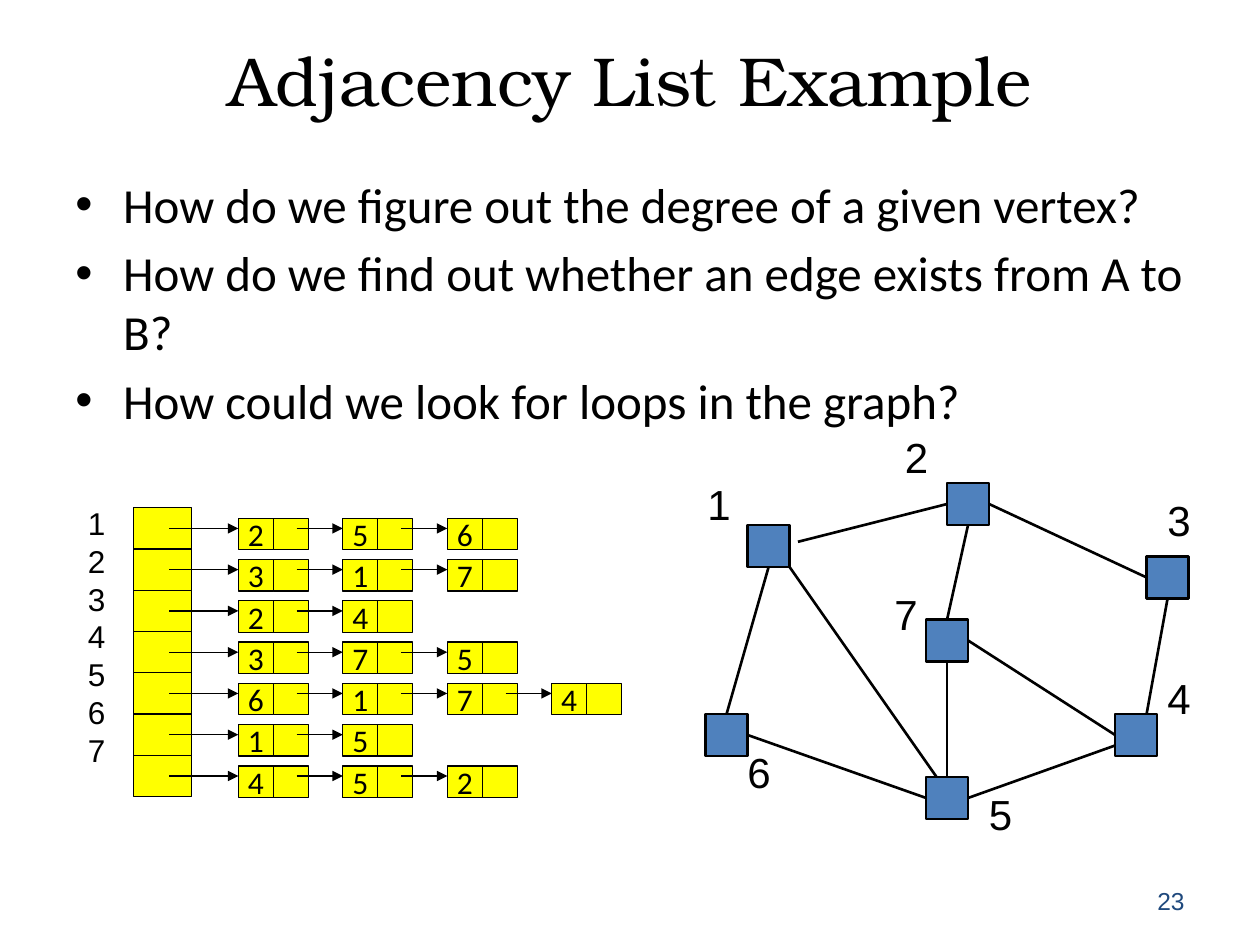
from lxml import etree
from pptx import Presentation
from pptx.dml.color import RGBColor
from pptx.enum.shapes import MSO_CONNECTOR, MSO_SHAPE
from pptx.enum.text import MSO_ANCHOR, PP_ALIGN
from pptx.oxml.ns import qn
from pptx.util import Inches, Pt

RECTANGLE = MSO_SHAPE.RECTANGLE
STRAIGHT = MSO_CONNECTOR.STRAIGHT
LEFT, CENTER, RIGHT = PP_ALIGN.LEFT, PP_ALIGN.CENTER, PP_ALIGN.RIGHT
TOP, MIDDLE = MSO_ANCHOR.TOP, MSO_ANCHOR.MIDDLE

GRID_COLUMNS = 120
# Connection site at the middle of each side, by share of width and height
SITES = {(0.5, 0): 0, (0, 0.5): 1, (0.5, 1): 2, (1, 0.5): 3}

QUESTIONS = [
    "How do we figure out the degree of a given vertex?",
    "How do we find out whether an edge exists from A to B?",
    "How could we look for loops in the graph?",
]

NODE_SIZE = 4
# vertex: (node column, node row, label column, label row)
VERTICES = {
    1: (71.2, 50, 66.2, 45),
    2: (90.2, 46, 85, 40.5),
    3: (109.2, 53, 110, 46.5),
    4: (106.2, 68, 110, 63.5),
    5: (88.2, 74, 93, 74.5),
    6: (67.2, 68, 70, 70.5),
    7: (88.2, 59, 84, 55.5),
}
# (vertex, share of its width and height) at either end
EDGES = [
    ((1, (1.2, 0.4)), (2, (0, 0.5))),
    ((2, (0.5, 1)), (7, (0.5, 0))),
    ((2, (1, 0.5)), (3, (0, 0.5))),
    ((7, (1, 0.5)), (4, (0, 0.5))),
    ((3, (0.5, 1)), (4, (0.75, 0))),
    ((7, (0.5, 1)), (5, (0.5, 0))),
    ((5, (1, 0.5)), (4, (0, 0.75))),
    ((6, (1, 0.5)), (5, (0, 0.5))),
    ((1, (0.5, 1)), (6, (0.5, 0))),
    ((1, (1, 1)), (5, (0.25, 0))),
]

NEIGHBOURS = {
    1: [2, 5, 6],
    2: [3, 1, 7],
    3: [2, 4],
    4: [3, 7, 5],
    5: [6, 1, 7, 4],
    6: [1, 5],
    7: [4, 5, 2],
}
ARRAY_LEFT, ARRAY_TOP, ARRAY_WIDTH, ROW_PITCH = 12.75, 48.36, 5.5, 3.93
LINK_LEFT, LINK_PITCH = 22.7, 9.95
CELL_WIDTH, CELL_HEIGHT = 3.33, 3
HEAD_ARROW, LINK_ARROW = 6.6, 4.4


def color(hex_string):
    return RGBColor.from_string(hex_string)


class SlideBuilder:
    """Draws on one slide; lengths are in cells of a square grid."""

    black, number_blue = "000000", "1F497D"
    node_fill, list_fill = "4F81BD", "FFFF00"
    title_font, body_font, label_font = "TeX Gyre Bonum", "Calibri", "Arial"
    thick, thin = 1.5, 0.75

    def __init__(self, presentation):
        self.slide = presentation.slides.add_slide(presentation.slide_layouts[6])
        self.cell = presentation.slide_width / GRID_COLUMNS

    def lengths(self, *cells):
        return [round(count * self.cell) for count in cells]

    def set_text(self, shape, lines, font, size, align=LEFT, anchor=TOP,
                 wrap=False, ink=black):
        frame = shape.text_frame
        frame.text = "\n".join(lines)
        frame.word_wrap = wrap
        frame.vertical_anchor = anchor
        for paragraph in frame.paragraphs:
            paragraph.alignment = align
            for run in paragraph.runs:
                run.font.name = font
                run.font.size = Pt(size)
                run.font.color.rgb = color(ink)

    def text(self, box, lines, font, size, **options):
        shape = self.slide.shapes.add_textbox(*self.lengths(*box))
        self.set_text(shape, lines, font, size, **options)
        return shape

    def bullets(self, box, lines, size):
        shape = self.text(box, lines, self.body_font, size, wrap=True)
        for paragraph in shape.text_frame.paragraphs:
            paragraph.space_before = Pt(size * 0.2)
            properties = paragraph._p.get_or_add_pPr()
            properties.set("marL", str(Inches(0.38)))
            properties.set("indent", str(-Inches(0.38)))
            etree.SubElement(properties, qn("a:buFont")).set("typeface", "Arial")
            etree.SubElement(properties, qn("a:buChar")).set("char", "•")

    def rectangle(self, box, fill, weight, label=""):
        shape = self.slide.shapes.add_shape(RECTANGLE, *self.lengths(*box))
        shape.shadow.inherit = False
        shape.fill.solid()
        shape.fill.fore_color.rgb = color(fill)
        shape.line.color.rgb = color(self.black)
        shape.line.width = Pt(weight)
        if label:
            self.set_text(shape, [label], self.body_font, 18, CENTER, MIDDLE)
        return shape

    def line(self, start, end, weight, arrow=False):
        connector = self.slide.shapes.add_connector(
            STRAIGHT, *self.lengths(*start, *end))
        connector.line.color.rgb = color(self.black)
        connector.line.width = Pt(weight)
        if arrow:
            outline = connector.line._get_or_add_ln()
            etree.SubElement(outline, qn("a:tailEnd")).set("type", "triangle")
        etree.SubElement(connector._element.spPr, qn("a:effectLst"))
        return connector

    def graph(self):
        nodes = {}
        for vertex, (left, top, label_left, label_top) in VERTICES.items():
            nodes[vertex] = self.rectangle(
                (left, top, NODE_SIZE, NODE_SIZE), self.node_fill, self.thick)
            self.text((label_left, label_top, 4.7, 6), [str(vertex)],
                      self.label_font, 24)
        for edge in EDGES:
            points = [(VERTICES[vertex][0] + across * NODE_SIZE,
                       VERTICES[vertex][1] + down * NODE_SIZE)
                      for vertex, (across, down) in edge]
            connector = self.line(*points, self.thick)
            joins = (connector.begin_connect, connector.end_connect)
            for join, (vertex, share) in zip(joins, edge):
                if share in SITES:
                    join(nodes[vertex], SITES[share])

    def adjacency_list(self):
        self.text((7.2, 47.4, 4.3, 29.2), [str(vertex) for vertex in NEIGHBOURS],
                  self.label_font, 18)
        tops = [ARRAY_TOP + row * ROW_PITCH for row in range(len(NEIGHBOURS))]
        for top in tops:
            self.rectangle((ARRAY_LEFT, top, ARRAY_WIDTH, ROW_PITCH),
                           self.list_fill, self.thin)
        for top, neighbours in zip(tops, NEIGHBOURS.values()):
            self.linked_row(top, neighbours)

    def linked_row(self, top, neighbours):
        middle = top + ROW_PITCH / 2
        lefts = [LINK_LEFT + link * LINK_PITCH for link in range(len(neighbours))]
        for left, neighbour in zip(lefts, neighbours):
            for offset, label in ((0, str(neighbour)), (CELL_WIDTH, "")):
                self.rectangle((left + offset, top + 1, CELL_WIDTH, CELL_HEIGHT),
                               self.list_fill, self.thin, label)
        for left in lefts:
            length = HEAD_ARROW if left == LINK_LEFT else LINK_ARROW
            self.line((left - length, middle), (left, middle), self.thin, arrow=True)


def main():
    presentation = Presentation()
    presentation.slide_width, presentation.slide_height = Inches(10), Inches(7.5)
    builder = SlideBuilder(presentation)
    title = builder.text((6, 3.6, 108, 15), ["Adjacency List Example"],
                         builder.title_font, 39.6, align=CENTER, anchor=MIDDLE,
                         wrap=True)
    title.text_frame.margin_bottom = Inches(0.65)
    builder.text((86, 83.4, 28, 4.8), ["23"], builder.label_font, 14, align=RIGHT,
                 anchor=MIDDLE, wrap=True, ink=builder.number_blue)
    builder.bullets((6, 16, 108, 64.8), QUESTIONS, 28)
    builder.graph()
    builder.adjacency_list()
    presentation.save("out.pptx")


if __name__ == "__main__":
    main()
